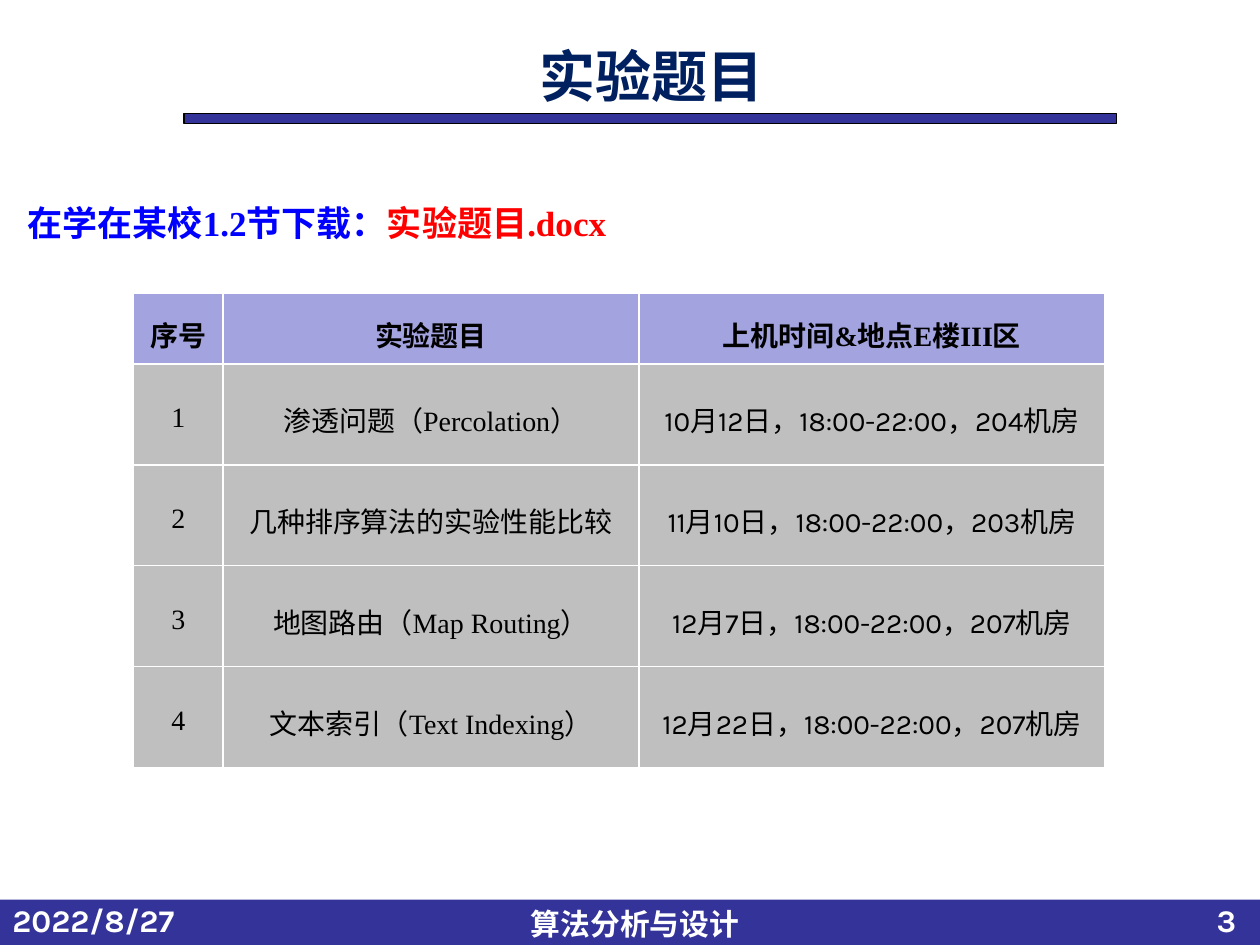
from dataclasses import dataclass

from lxml.etree import SubElement
from pptx import Presentation
from pptx.dml.color import RGBColor
from pptx.enum.shapes import MSO_SHAPE
from pptx.enum.text import MSO_ANCHOR, PP_ALIGN
from pptx.oxml.ns import qn
from pptx.util import Inches, Pt


@dataclass(frozen=True)
class Theme:
    """Colours, fonts and type sizes of the slide."""
    bar: str = "333399"
    title: str = "002060"
    note: str = "0000FF"
    accent: str = "FF0000"
    header: str = "A3A3E0"
    body: str = "BFBFBF"
    black: str = "000000"
    white: str = "FFFFFF"
    serif: str = "Times New Roman"
    sans: str = "Karla"
    chinese: str = "Noto Sans CJK SC"
    title_size: int = 32
    note_size: int = 20
    table_size: int = 16
    footer_size: int = 17
    field_size: int = 18


THEME = Theme()
COLUMN_WIDTHS = (0.71, 3.3, 3.7)
HEADER_HEIGHT = 0.56
BODY_HEIGHT = 0.8
ROWS = (
    ("序号", "实验题目", "上机时间&地点E楼III区"),
    ("1", "渗透问题（Percolation）", "10月12日，18:00-22:00，204机房"),
    ("2", "几种排序算法的实验性能比较", "11月10日，18:00-22:00，203机房"),
    ("3", "地图路由（Map Routing）", "12月7日，18:00-22:00，207机房"),
    ("4", "文本索引（Text Indexing）", "12月22日，18:00-22:00，207机房"),
)


def set_attributes(target, values):
    """Set each named attribute on the target."""
    for name, value in values.items():
        setattr(target, name, value)


def add_run(paragraph, text, size, color, font=THEME.serif, bold=True):
    """Add one formatted run with Latin and East Asian fonts."""
    run = paragraph.add_run()
    run.text = text
    set_attributes(run.font, {"size": Pt(size), "bold": bold, "name": font})
    run.font.color.rgb = RGBColor.from_string(color)
    SubElement(run.font._element, qn("a:ea"), typeface=THEME.chinese)


def add_bar(slide, box, outlined=False):
    """Add a solid bar, with a thin black outline if asked."""
    bar = slide.shapes.add_shape(MSO_SHAPE.RECTANGLE, *map(Inches, box))
    bar.shadow.inherit = False
    bar.fill.solid()
    bar.fill.fore_color.rgb = RGBColor.from_string(THEME.bar)
    if outlined:
        bar.line.color.rgb = RGBColor.from_string(THEME.black)
        bar.line.width = Pt(0.75)
    else:
        bar.line.fill.background()


def add_text(slide, box, runs, align=PP_ALIGN.LEFT, anchor=MSO_ANCHOR.TOP):
    """Add a one-paragraph text box made of runs."""
    frame = slide.shapes.add_textbox(*map(Inches, box)).text_frame
    set_attributes(frame, {"word_wrap": True, "vertical_anchor": anchor})
    frame.paragraphs[0].alignment = align
    for run in runs:
        add_run(frame.paragraphs[0], *run)


def set_title(slide, text):
    """Place and format the title placeholder."""
    title = slide.shapes.title
    box = {"left": 1.47, "top": 0.29, "width": 7.4, "height": 0.61}
    set_attributes(title, {name: Inches(value) for name, value in box.items()})
    title.text_frame.vertical_anchor = MSO_ANCHOR.MIDDLE
    paragraph = title.text_frame.paragraphs[0]
    paragraph.alignment = PP_ALIGN.CENTER
    add_run(paragraph, text, THEME.title_size, THEME.title, THEME.chinese)


def set_borders(cell):
    """Draw white one-point borders on all sides of a cell."""
    properties = cell._tc.get_or_add_tcPr()
    for index, side in enumerate(("lnL", "lnR", "lnT", "lnB")):
        line = properties.makeelement(qn(f"a:{side}"), {"w": str(Pt(1))})
        fill = SubElement(line, qn("a:solidFill"))
        SubElement(fill, qn("a:srgbClr"), val=THEME.white)
        properties.insert(index, line)


def fill_cell(cell, text, is_header, font):
    """Write and format one table cell."""
    set_attributes(cell, {
        "margin_left": Inches(0.07), "margin_right": Inches(0.07),
        "margin_top": 0, "margin_bottom": 0,
        "vertical_anchor": MSO_ANCHOR.MIDDLE,
    })
    cell.fill.solid()
    color = THEME.header if is_header else THEME.body
    cell.fill.fore_color.rgb = RGBColor.from_string(color)
    set_borders(cell)
    paragraph = cell.text_frame.paragraphs[0]
    set_attributes(paragraph, {"alignment": PP_ALIGN.CENTER, "line_spacing": 1.25})
    add_run(paragraph, text, THEME.table_size, THEME.black, font, is_header)


def add_schedule(slide):
    """Add the table of experiments, times and rooms."""
    height = HEADER_HEIGHT + BODY_HEIGHT * (len(ROWS) - 1)
    box = (1.06, 2.33, sum(COLUMN_WIDTHS), height)
    table = slide.shapes.add_table(
        len(ROWS), len(COLUMN_WIDTHS), *map(Inches, box)).table
    for column, width in zip(table.columns, COLUMN_WIDTHS):
        column.width = Inches(width)
    for row_index, row in enumerate(ROWS):
        is_header = row_index == 0
        table.rows[row_index].height = Inches(HEADER_HEIGHT if is_header else BODY_HEIGHT)
        for column_index, text in enumerate(row):
            is_time = not is_header and column_index == 2
            font = THEME.sans if is_time else THEME.serif
            fill_cell(table.cell(row_index, column_index), text, is_header, font)


def add_footer(slide):
    """Add the footer bar with course name, page number and date."""
    add_bar(slide, (0, 7.14, 10, 0.36))
    add_text(slide, (2.4, 7.14, 5.28, 0.39),
             [("算法分析与设计", THEME.footer_size, THEME.white)], PP_ALIGN.CENTER)
    fields = (
        ("3", (9.09, 7.14, 0.82, 0.36), PP_ALIGN.RIGHT),
        ("2022/8/27", (0, 7.14, 2.08, 0.36), PP_ALIGN.LEFT),
    )
    for text, box, align in fields:
        run = (text, THEME.field_size, THEME.white, THEME.sans)
        add_text(slide, box, [run], align, MSO_ANCHOR.BOTTOM)


def main():
    """Build and save the slide."""
    presentation = Presentation()
    set_attributes(presentation, {"slide_width": Inches(10), "slide_height": Inches(7.5)})
    slide = presentation.slides.add_slide(presentation.slide_layouts[5])
    add_footer(slide)
    add_bar(slide, (1.46, 0.9, 7.4, 0.08), outlined=True)
    set_title(slide, "实验题目")
    add_schedule(slide)
    add_text(slide, (0.12, 1.55, 9.8, 0.44), [
        ("在学在某校1.2节下载：", THEME.note_size, THEME.note),
        ("实验题目.docx", THEME.note_size, THEME.accent),
    ])
    presentation.save("out.pptx")


main()
